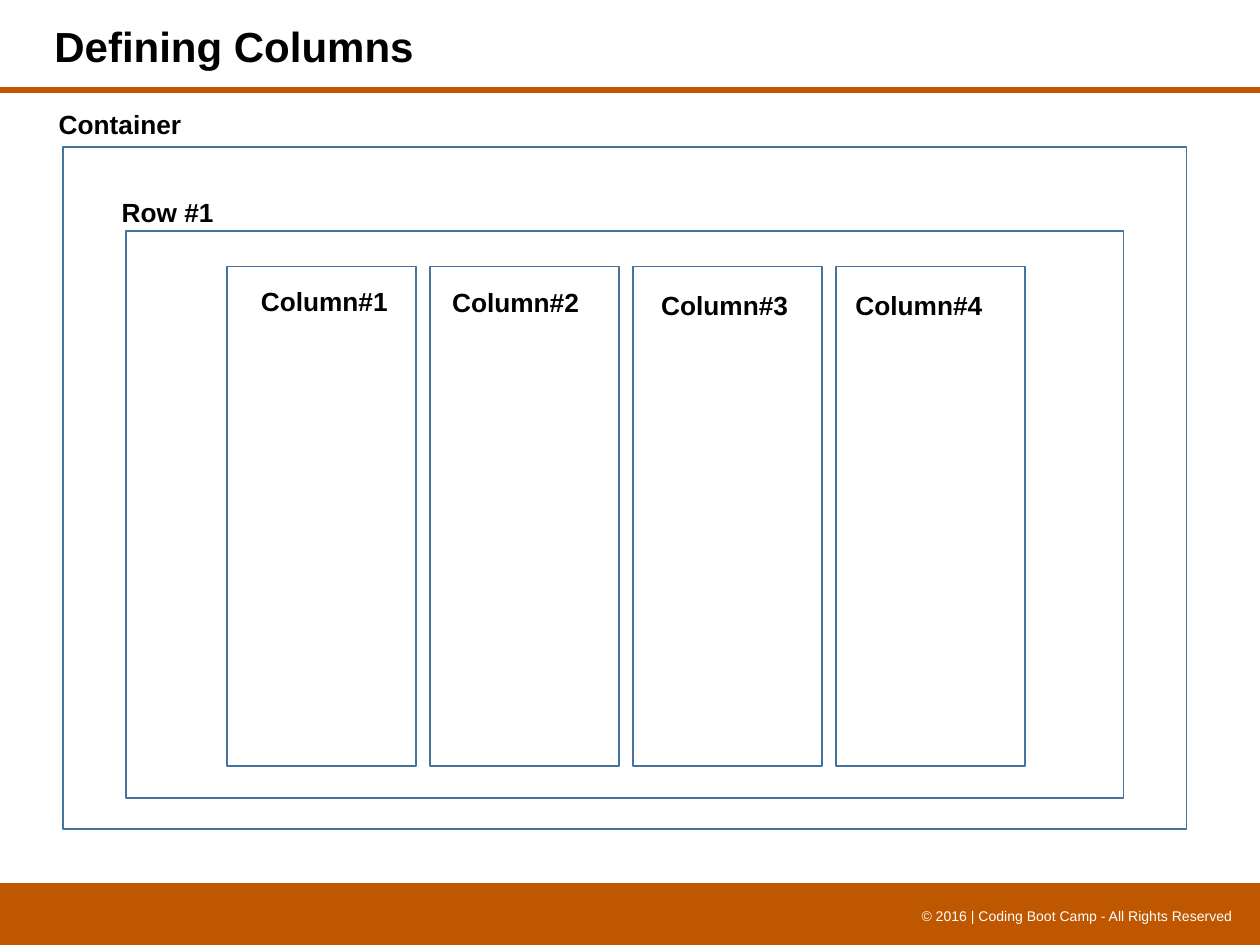
import pptx
import pptx.dml.color
import pptx.enum.shapes
import pptx.enum.text
import pptx.oxml.ns
import pptx.util
from lxml import etree

Pt = pptx.util.Pt
RGB = pptx.dml.color.RGBColor.from_string
SHAPE = pptx.enum.shapes.MSO_SHAPE
ALIGN = pptx.enum.text.PP_ALIGN
COLORS = {"orange": "BF5700", "outline": "43739E", "text": "000000", "white": "FFFFFF"}

deck = pptx.Presentation()
deck.slide_width, deck.slide_height = Pt(720), Pt(540)
slide = deck.slides.add_slide(deck.slide_layouts[6])


def add_label(words, left, top, width, height, size, color="text", bold=True, align=ALIGN.LEFT):
    label = slide.shapes.add_textbox(Pt(left), Pt(top), Pt(width), Pt(height))
    label.text_frame.word_wrap = True
    paragraph = label.text_frame.paragraphs[0]
    paragraph.alignment = align
    run = paragraph.add_run()
    run.text = words
    run.font.name = "Arial"
    run.font.size = Pt(size)
    run.font.bold = bold
    run.font.color.rgb = RGB(COLORS[color])


def add_frame(left, top, width, height):
    frame = slide.shapes.add_shape(SHAPE.RECTANGLE, Pt(left), Pt(top), Pt(width), Pt(height))
    frame.shadow.inherit = False
    frame.fill.background()
    frame.line.color.rgb = RGB(COLORS["outline"])
    frame.line.width = Pt(1)


# Footer band and copyright
footer = slide.shapes.add_shape(SHAPE.FLOWCHART_PROCESS, Pt(-0.5), Pt(504.5), Pt(721), Pt(36))
footer.shadow.inherit = False
footer.fill.solid()
footer.fill.fore_color.rgb = RGB(COLORS["orange"])
footer.line.fill.background()
add_label("© 2016 | Coding Boot Camp - All Rights Reserved", 492, 515, 219.5, 17, 8,
          color="white", bold=False, align=ALIGN.RIGHT)

# Title and rule
title_rule = slide.shapes.add_connector(
    pptx.enum.shapes.MSO_CONNECTOR.STRAIGHT, Pt(0), Pt(51.5), Pt(720), Pt(51.5))
title_rule.line.color.rgb = RGB(COLORS["orange"])
title_rule.line.width = Pt(3.25)
etree.SubElement(title_rule._element.spPr, pptx.oxml.ns.qn("a:effectLst"))
add_label("Defining Columns", 24, 8, 402, 36, 24)

# Container and row
add_frame(36, 84, 642, 390)
add_label("Container", 26.5, 58.5, 402, 25, 15)
add_frame(72, 132, 570, 324)
add_label("Row #1", 62.5, 108.75, 402, 25, 15)

# Evenly spaced columns, each with its own label position
column_left, column_pitch = 129.75, 116
label_spots = [(142, 159.5), (251.25, 160), (370.75, 162), (481.75, 162)]
for index, (label_left, label_top) in enumerate(label_spots):
    add_frame(column_left + index * column_pitch, 152.25, 108, 285.5)
    add_label(f"Column#{index + 1}", label_left, label_top, 89.5, 25, 15)

deck.save("out.pptx")
